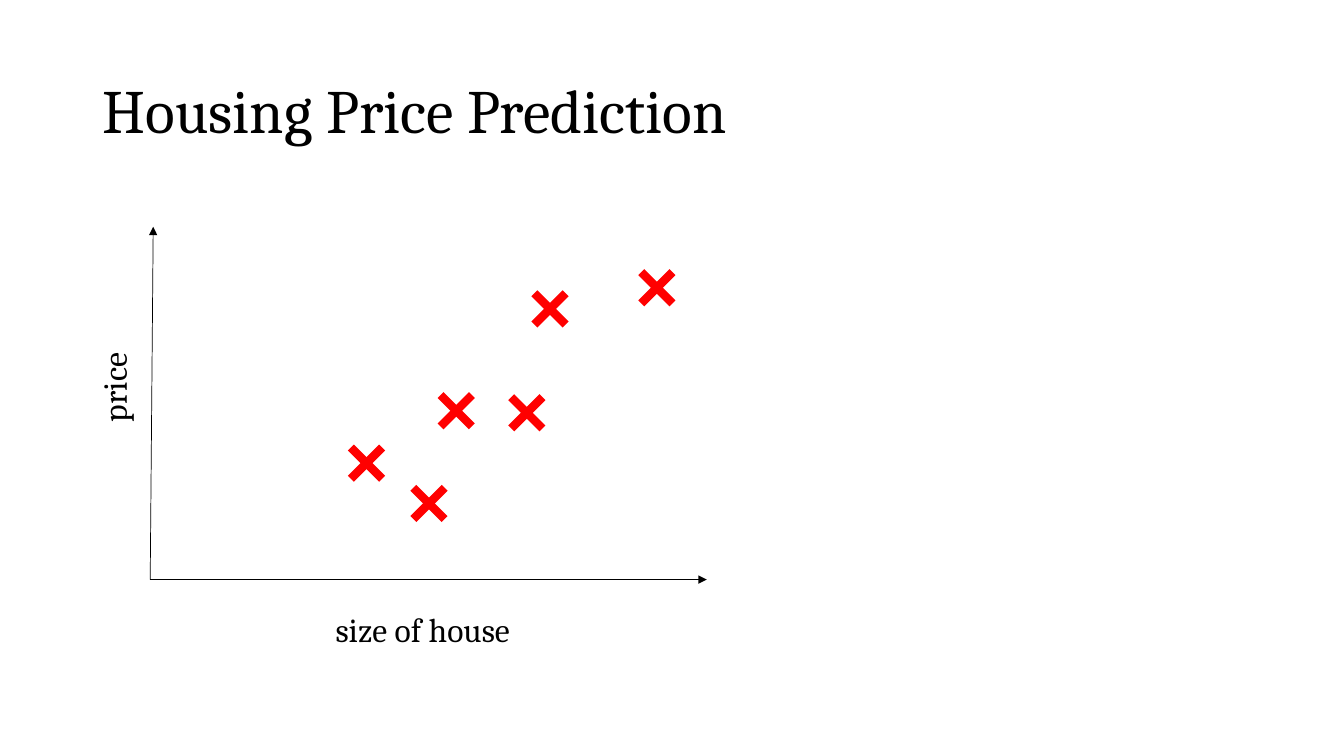
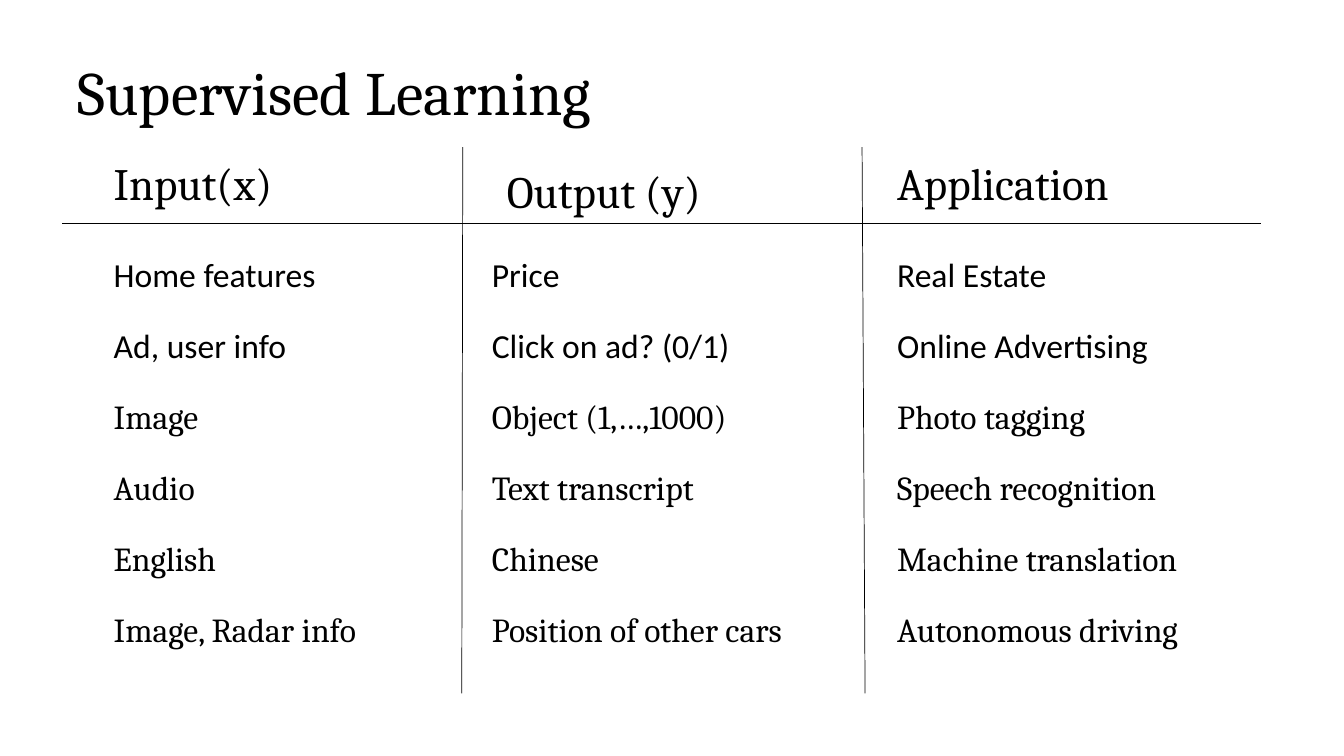
"""Builds two slides that introduce supervised learning."""
from lxml import etree
from pptx import Presentation
from pptx import util as u
from pptx.dml.color import RGBColor
from pptx.enum import shapes, text
from pptx.oxml import ns

BLACK = RGBColor(0x00, 0x00, 0x00)
RED = RGBColor(0xFF, 0x00, 0x00)
SERIF = "Cambria"
SANS = "Calibri"

MARK_SIZE = 0.31
MARKS = [(5.3, 2.91), (4.37, 3.92), (6.36, 2.7),
         (5.07, 3.94), (3.48, 4.44), (4.1, 4.84)]

COLUMNS = [1.03, 4.78, 8.8]
FIRST_ROW = 2.47
LAST_ROW = 5.99
ROWS = [
    (SANS, "Home features", "Price", "Real Estate"),
    (SANS, "Ad, user info", "Click on ad? (0/1)", "Online Advertising"),
    (SERIF, "Image", "Object (1,…,1000)", "Photo tagging"),
    (SERIF, "Audio", "Text transcript", "Speech recognition"),
    (SERIF, "English", "Chinese", "Machine translation"),
    (SERIF, "Image, Radar info", "Position of other cars", "Autonomous driving"),
]


def write(box, words, *, size=24, font=SERIF, color=BLACK,
          align=text.PP_ALIGN.LEFT, anchor=text.MSO_ANCHOR.TOP, spacing=None):
    """Put formatted words into a text box."""
    frame = box.text_frame
    frame.word_wrap = True
    frame.vertical_anchor = anchor
    para = frame.paragraphs[0]
    para.alignment = align
    para.line_spacing = spacing
    span = para.add_run()
    span.text = words
    span.font.size = u.Pt(size)
    span.font.name = font
    span.font.color.rgb = color


class Slides:
    """Holds the deck, its style and the current slide."""

    def __init__(self):
        """Start a widescreen deck."""
        self.deck = Presentation()
        self.deck.slide_width = u.Inches(13.33)
        self.deck.slide_height = u.Inches(7.5)
        self.page = None

    def start(self, title, left, top):
        """Add a blank slide with a title."""
        self.page = self.deck.slides.add_slide(self.deck.slide_layouts[6])
        self.label(title, left, top, 11.5, 1.45, size=44, spacing=0.9,
                   anchor=text.MSO_ANCHOR.MIDDLE)

    def group(self):
        """Add an empty group to the slide."""
        return self.page.shapes.add_group_shape()

    def label(self, words, left, top, width, height=0.5, *, parent=None, **style):
        """Add a text box to the slide or to a group."""
        box = (parent or self.page).shapes.add_textbox(
            u.Inches(left), u.Inches(top), u.Inches(width), u.Inches(height))
        write(box, words, **style)
        return box

    def line(self, start, end, *, color=BLACK, width=0.5, arrow=False, parent=None):
        """Add a straight line, with an arrowhead at its end if asked."""
        line = (parent or self.page).shapes.add_connector(
            shapes.MSO_CONNECTOR.STRAIGHT,
            *(u.Inches(value) for value in (*start, *end)))
        line.line.color.rgb = color
        line.line.width = u.Pt(width)
        if arrow:
            etree.SubElement(line.line._get_or_add_ln(), ns.qn("a:tailEnd"),
                             type="triangle")
        etree.SubElement(line._element.spPr, ns.qn("a:effectLst"))

    def cross(self, left, top):
        """Add a red cross that marks one data point."""
        cross = self.group()
        right, bottom = left + MARK_SIZE, top + MARK_SIZE
        for start, end in (((left, top), (right, bottom)),
                           ((left, bottom), (right, top))):
            self.line(start, end, color=RED, width=6, parent=cross)


def add_housing(slides):
    """Plot house prices against house sizes."""
    slides.start("Housing Price Prediction", 0.92, 0.4)
    origin = (1.49, 5.75)
    for end in ((1.52, 2.25), (7.01, 5.75)):
        slides.line(origin, end, arrow=True)
    slides.label("size of house", 3.23, 5.99, 2.16)
    slides.label("price", 0.64, 3.55, 0.97).rotation = 270
    for left, top in MARKS:
        slides.cross(left, top)


def add_learning(slides):
    """List inputs, outputs and applications in three columns."""
    slides.start("Supervised Learning", 0.67, 0.22)
    for start, end in (((0.62, 2.22), (12.51, 2.22)),
                       ((8.55, 1.46), (8.58, 6.88)),
                       ((4.59, 1.46), (4.58, 6.88))):
        slides.line(start, end)
    input_left, output_left, application_left = COLUMNS
    slides.label("Input(x)", input_left, 1.5, 3.13, 0.94, size=32)
    slides.label("Output (y)", output_left, 1.58, 2.42, 0.94, size=32,
                 align=text.PP_ALIGN.CENTER)
    slides.label("Application", application_left, 1.5, 3.13, 0.94, size=32)
    pitch = (LAST_ROW - FIRST_ROW) / (len(ROWS) - 1)
    for index, (font, *cells) in enumerate(ROWS):
        row = slides.group()
        for left, words in zip(COLUMNS, cells):
            slides.label(words, left, FIRST_ROW + index * pitch, 3.5,
                         font=font, parent=row)


def main():
    """Build and save the deck."""
    slides = Slides()
    add_housing(slides)
    add_learning(slides)
    slides.deck.save("out.pptx")


if __name__ == "__main__":
    main()
